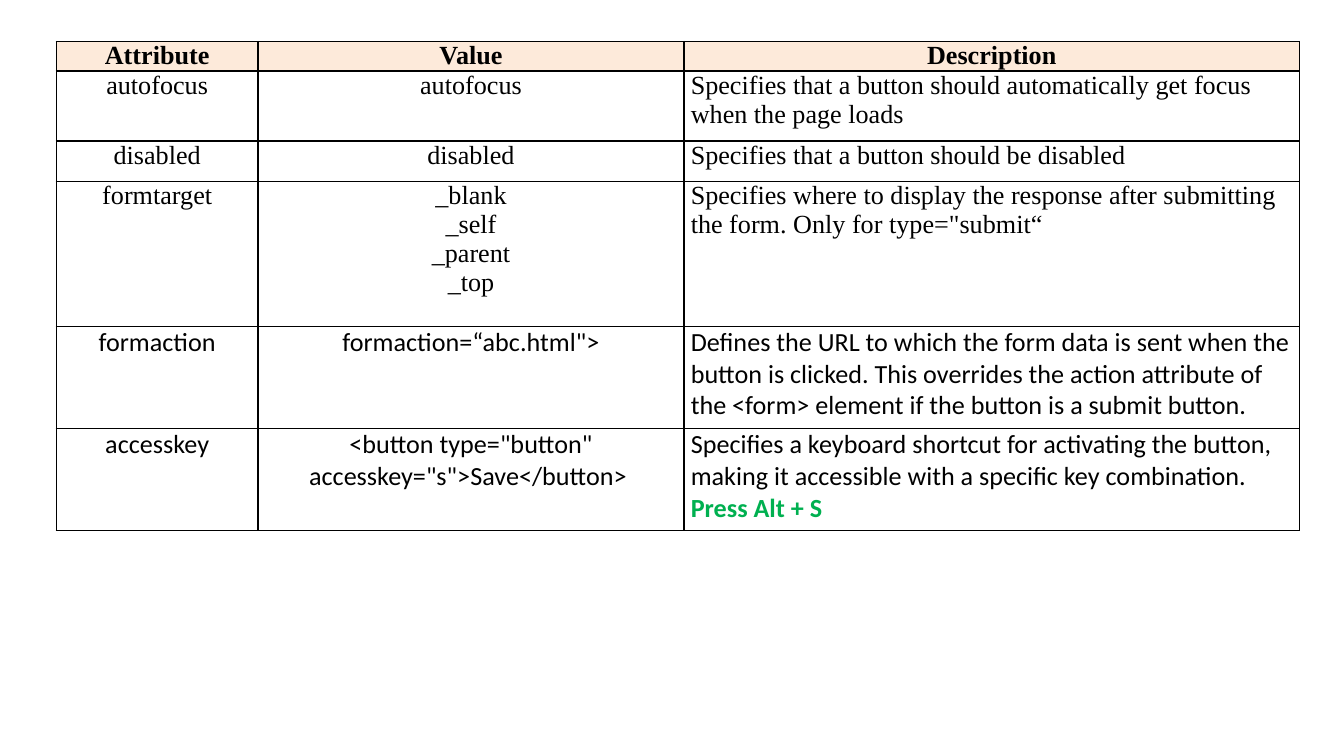
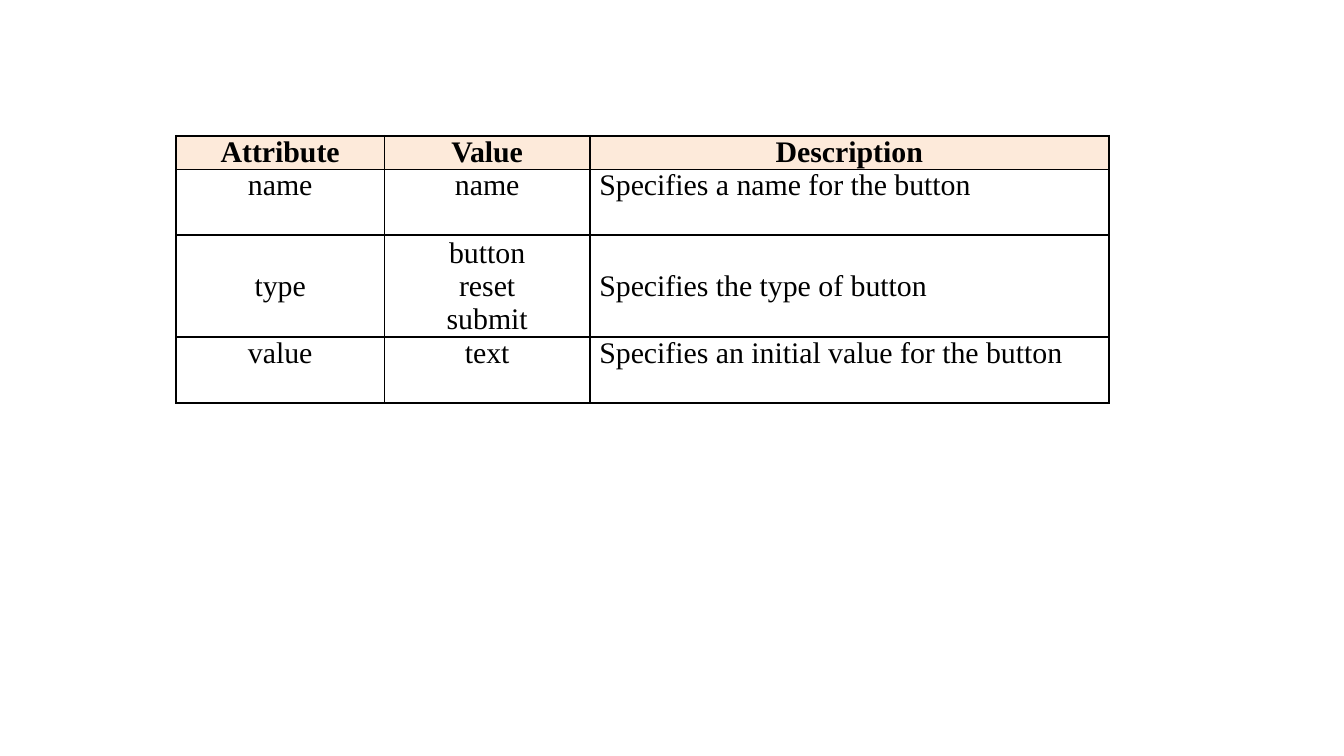
from dataclasses import dataclass

from lxml.etree import SubElement
from pptx import Presentation
from pptx.dml.color import RGBColor
from pptx.enum.text import MSO_ANCHOR, PP_ALIGN
from pptx.oxml.ns import qn
from pptx.util import Inches, Pt


@dataclass(frozen=True)
class Theme:
    text: str = "000000"
    border: str = "000000"
    header: str = "FDEADA"
    accent: str = "00B050"
    serif: str = "Times New Roman"
    sans: str = "Calibri"
    dense_size: int = 14
    roomy_size: int = 16
    border_width: int = 1


@dataclass(frozen=True)
class Row:
    height: float
    cells: tuple
    font: str
    anchor: MSO_ANCHOR = MSO_ANCHOR.TOP
    note: str = ""  # highlighted last paragraph of the description


THEME = Theme()
HEADINGS = ("Attribute", "Value", "Description")

STATE_ROWS = (
    Row(0.52, ("autofocus", "autofocus",
               "Specifies that a button should automatically get focus when the page loads"),
        THEME.serif),
    Row(0.3, ("disabled", "disabled", "Specifies that a button should be disabled"),
        THEME.serif),
    Row(1.08, ("formtarget", "_blank\n_self\n_parent\n_top",
               "Specifies where to display the response after submitting the form. "
               'Only for type="submit“'), THEME.serif),
    Row(0.76, ("formaction", 'formaction=“abc.html">',
               "Defines the URL to which the form data is sent when the button is clicked. "
               "This overrides the action attribute of the <form> element if the button "
               "is a submit button."), THEME.sans),
    Row(0.76, ("accesskey", '<button type="button" accesskey="s">Save</button> ',
               "Specifies a keyboard shortcut for activating the button, making it "
               "accessible with a specific key combination."),
        THEME.sans, note="Press Alt + S"),
)

BASIC_ROWS = (
    Row(0.49, ("name", "name", "Specifies a name for the button"), THEME.serif),
    Row(0.76, ("type", "button\nreset\nsubmit", "Specifies the type of button"),
        THEME.serif, MSO_ANCHOR.MIDDLE),
    Row(0.49, ("value", "text", "Specifies an initial value for the button"), THEME.serif),
)


def add_borders(cell):
    tc_pr = cell._tc.get_or_add_tcPr()
    for side in ("lnL", "lnR", "lnT", "lnB"):
        ln = SubElement(tc_pr, qn(f"a:{side}"), w=str(Pt(THEME.border_width)))
        fill = SubElement(ln, qn("a:solidFill"))
        SubElement(fill, qn("a:srgbClr"), val=THEME.border)


def write(p, text, font, size, align, bold=False, color=THEME.text):
    """Fill a paragraph, turning each newline into a line break."""
    p.alignment = align
    for i, line in enumerate(text.split("\n")):
        if i:
            p.add_line_break()
        r = p.add_run()
        r.text = line
        r.font.name, r.font.size, r.font.bold = font, Pt(size), bold
        r.font.color.rgb = RGBColor.from_string(color)


def format_cell(cell, inset, anchor, fill=None):
    cell.margin_left = cell.margin_right = Inches(inset)
    cell.margin_top = cell.margin_bottom = 0
    cell.vertical_anchor = anchor
    add_borders(cell)
    if fill:
        cell.fill.solid()
        cell.fill.fore_color.rgb = RGBColor.from_string(fill)
    else:
        cell.fill.background()


def add_attribute_slide(prs, left, top, widths, header_height, rows, size, inset):
    s = prs.slides.add_slide(prs.slide_layouts[6])
    all_rows = (Row(header_height, HEADINGS, THEME.serif), *rows)
    height = sum(row.height for row in all_rows)
    table = s.shapes.add_table(len(all_rows), len(widths), Inches(left), Inches(top),
                               Inches(sum(widths)), Inches(height)).table
    table.first_row = table.horz_banding = False
    for column, width in zip(table.columns, widths):
        column.width = Inches(width)

    for i, row in enumerate(all_rows):
        table.rows[i].height = Inches(row.height)
        is_header = i == 0
        for j, text in enumerate(row.cells):
            cell = table.cell(i, j)
            format_cell(cell, inset, row.anchor, THEME.header if is_header else None)
            is_description = j == len(widths) - 1 and not is_header
            align = PP_ALIGN.LEFT if is_description else PP_ALIGN.CENTER
            tf = cell.text_frame
            write(tf.paragraphs[0], text, row.font, size, align, bold=is_header)
            if is_description and row.note:
                write(tf.add_paragraph(), row.note, row.font, size, align,
                      bold=True, color=THEME.accent)


def main():
    prs = Presentation()
    prs.slide_width = Inches(10)
    prs.slide_height = prs.slide_width * 9 // 16
    add_attribute_slide(prs, 0.42, 0.31, (1.5, 3.17, 4.58), 0.22, STATE_ROWS,
                        THEME.dense_size, inset=0.05)
    add_attribute_slide(prs, 1.31, 1.01, (1.55, 1.53, 3.86), 0.25, BASIC_ROWS,
                        THEME.roomy_size, inset=0.07)
    prs.save("out.pptx")


if __name__ == "__main__":
    main()
